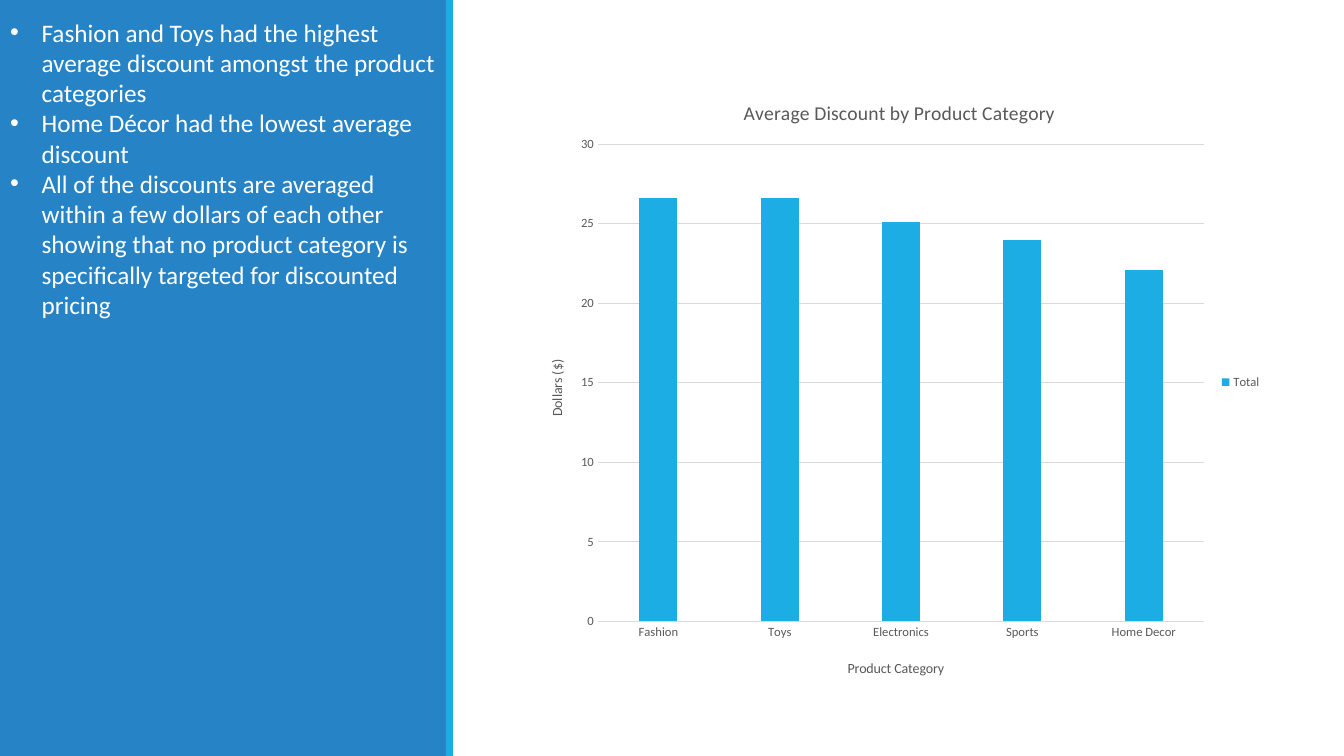
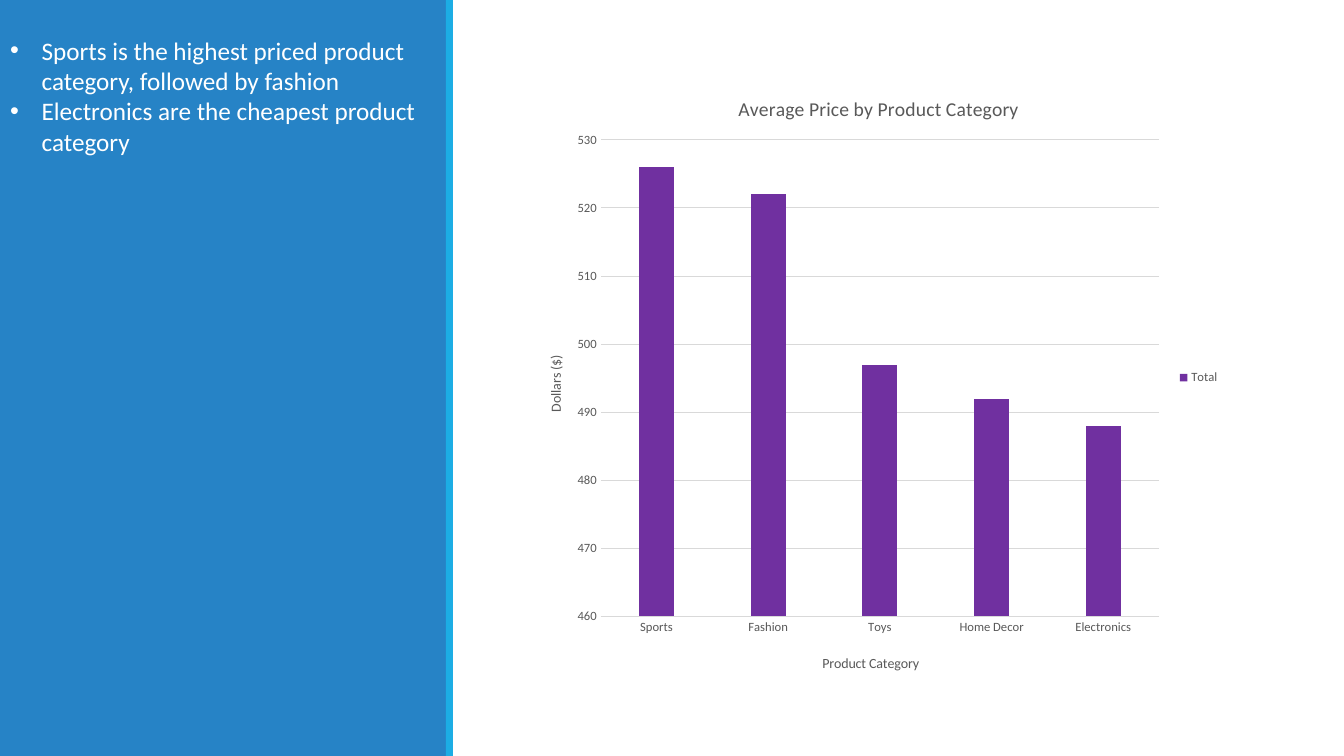
from lxml.etree import SubElement, Element
from pptx import Presentation
from pptx.chart.data import CategoryChartData
from pptx.dml.color import RGBColor
from pptx.enum.chart import XL_CHART_TYPE, XL_LEGEND_POSITION, XL_TICK_MARK
from pptx.enum.shapes import MSO_SHAPE
from pptx.enum.text import MSO_ANCHOR, MSO_AUTO_SIZE
from pptx.oxml.ns import qn
from pptx.util import Pt

BLUE = RGBColor(0x26, 0x83, 0xC6)
CYAN = RGBColor(0x1C, 0xAD, 0xE4)
PURPLE = RGBColor(0x70, 0x30, 0xA0)
WHITE = RGBColor(0xFF, 0xFF, 0xFF)
GREY = RGBColor(0x59, 0x59, 0x59)
RULE = RGBColor(0xD9, 0xD9, 0xD9)
FONT = "Calibri"
WIDE, HIGH = 960, 540
SIDE = 318.5

# Boxes are left, top, width, height in points.
# "place" holds fractions of the chart: plot left and width,
# then the left edges of the three titles.
PAGES = [
    dict(
        points=[
            "Fashion and Toys had the highest average discount amongst the product categories",
            "Home Décor had the lowest average discount",
            "All of the discounts are averaged within a few dollars of each other showing "
            "that no product category is specifically targeted for discounted pricing",
        ],
        text=(0, 8.5, 318.5, 225),
        title="Average Discount by Product Category",
        data={"Fashion": 26.6, "Toys": 26.6, "Electronics": 25.1,
              "Sports": 24, "Home Decor": 22.1},
        scale=(0, 30, 5), color=CYAN,
        box=(373.5, 50.5, 535, 445),
        place=dict(plot=(0.1, 0.81), head=0.29, val=0.03, cat=0.43),
    ),
    dict(
        points=[
            "Sports is the highest priced product category, followed by fashion",
            "Electronics are the cheapest product category",
        ],
        text=(0, 21.5, 323.5, 94.5),
        title="Average Price by Product Category",
        data={"Sports": 526, "Fashion": 522, "Toys": 497,
              "Home Decor": 492, "Electronics": 488},
        scale=(460, 530, 10), color=PURPLE,
        box=(373.5, 47.5, 505, 444.5),
        place=dict(plot=(0.11, 0.79), head=0.3, val=0.03, cat=0.42),
    ),
]


def points(box):
    return [Pt(v) for v in box]


def style(font, size, color):
    font.name, font.size, font.bold = FONT, Pt(size), False
    font.color.rgb = color


def add_bar(slide, box, color):
    bar = slide.shapes.add_shape(MSO_SHAPE.RECTANGLE, *points(box))
    bar.shadow.inherit = False
    bar.fill.solid()
    bar.fill.fore_color.rgb = color
    bar.line.fill.background()


def add_list(slide, page):
    body = slide.placeholders[1]
    slide.shapes.element.append(body.element)  # bring in front of the panel
    body.left, body.top, body.width, body.height = points(page["text"])
    frame = body.text_frame
    frame.word_wrap = True
    frame.auto_size = MSO_AUTO_SIZE.NONE
    frame.vertical_anchor = MSO_ANCHOR.TOP
    frame.text = "\n".join(page["points"])
    for para in frame.paragraphs:
        props = para._p.get_or_add_pPr()
        props.set("marL", str(Pt(22.5)))
        props.set("indent", str(-Pt(22.5)))
        SubElement(props, qn("a:buFont"), typeface="Arial")
        SubElement(props, qn("a:buChar"), char="•")
        para.space_before = Pt(0)
        style(para.runs[0].font, 18, WHITE)


def set_place(node, index, inner=False, **parts):
    """Give a chart part a fixed place, in fractions of the chart."""
    old = node.find(qn("c:layout"))
    if old is not None:
        node.remove(old)
    layout = Element(qn("c:layout"))
    node.insert(index, layout)
    manual = SubElement(layout, qn("c:manualLayout"))
    if inner:
        SubElement(manual, qn("c:layoutTarget"), val="inner")
    for key in "xy":
        SubElement(manual, qn(f"c:{key}Mode"), val="edge")
    for key, val in parts.items():
        SubElement(manual, qn(f"c:{key}"), val=str(val))


def set_title(title, text, size, left, top):
    title.text_frame.text = text
    style(title.text_frame.paragraphs[0].runs[0].font, size, GREY)
    set_place(title.element, 1, x=left, y=top)


def add_graph(slide, page):
    data = CategoryChartData()
    data.categories = list(page["data"])
    data.add_series("Total", list(page["data"].values()))
    chart = slide.shapes.add_chart(
        XL_CHART_TYPE.COLUMN_CLUSTERED, *points(page["box"]), data).chart
    style(chart.font, 10, GREY)
    place = page["place"]

    # Columns
    plot = chart.plots[0]
    plot.vary_by_categories = False
    plot.gap_width, plot.overlap = 219, -27
    fill = plot.series[0].format.fill
    fill.solid()
    fill.fore_color.rgb = page["color"]
    left, width = place["plot"]
    area = chart.element.find(".//" + qn("c:plotArea"))
    set_place(area, 0, True, x=left, y=0.118, w=width, h=0.766)

    # Axes
    cat, val = chart.category_axis, chart.value_axis
    for axis in (cat, val):
        axis.major_tick_mark = axis.minor_tick_mark = XL_TICK_MARK.NONE
        style(axis.tick_labels.font, 9, GREY)
    val.minimum_scale, val.maximum_scale, val.major_unit = page["scale"]
    val.has_major_gridlines = True
    for line in (cat.format.line, val.major_gridlines.format.line):
        line.color.rgb = RULE
        line.width = Pt(0.75)
    val.format.line.fill.background()

    # Titles and legend
    chart.has_title = True
    set_title(chart.chart_title, page["title"], 14, place["head"], 0.04)
    set_title(cat.axis_title, "Product Category", 10, place["cat"], 0.94)
    set_title(val.axis_title, "Dollars ($)", 10, place["val"], 0.46)
    turn = val.axis_title.element.find(".//" + qn("a:bodyPr"))
    turn.set("rot", "-5400000")
    turn.set("vert", "horz")
    chart.has_legend = True
    chart.legend.position = XL_LEGEND_POSITION.RIGHT
    chart.legend.include_in_layout = False
    style(chart.legend.font, 9, GREY)


def main():
    deck = Presentation()
    deck.slide_width, deck.slide_height = Pt(WIDE), Pt(HIGH)
    for page in PAGES:
        slide = deck.slides.add_slide(deck.slide_layouts[1])
        slide.shapes.element.remove(slide.shapes.title.element)
        add_bar(slide, (0, 0, SIDE, HIGH), BLUE)
        add_bar(slide, (SIDE, 0, 5, HIGH), CYAN)
        add_graph(slide, page)
        add_list(slide, page)
    deck.save("out.pptx")


if __name__ == "__main__":
    main()
